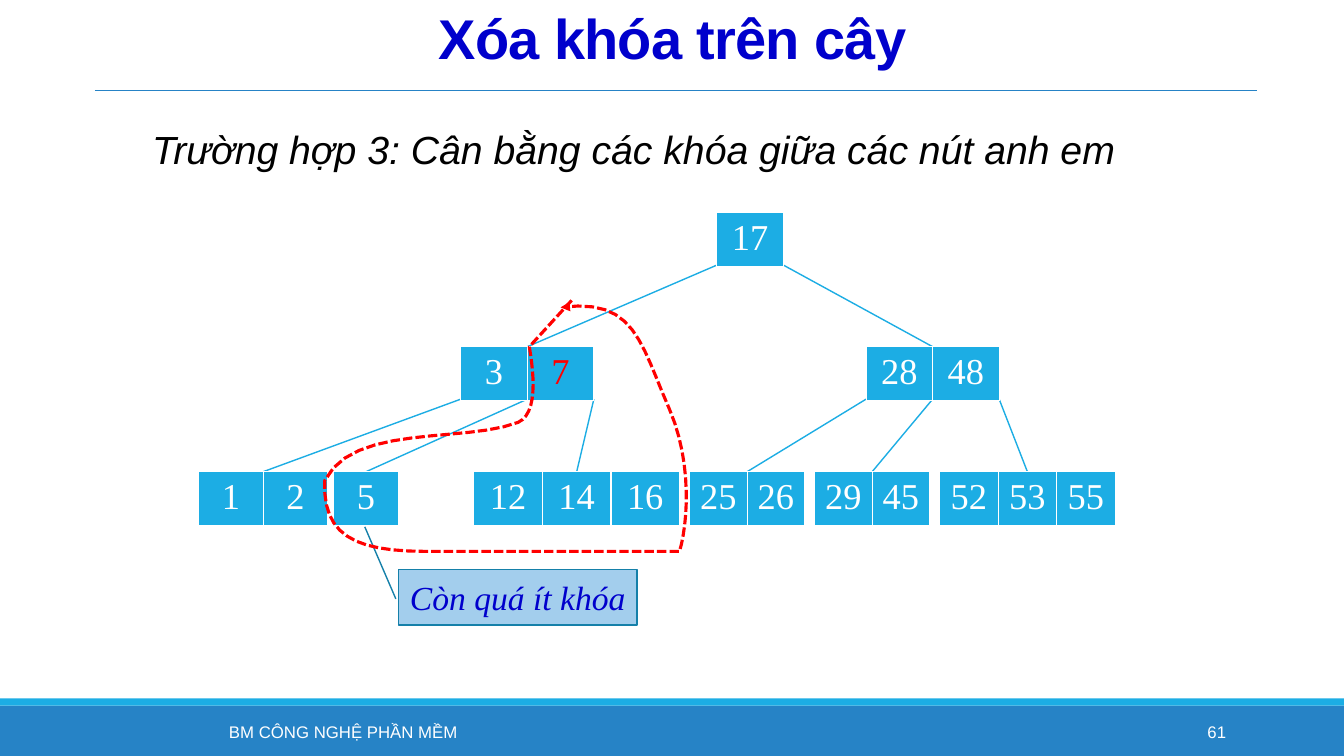
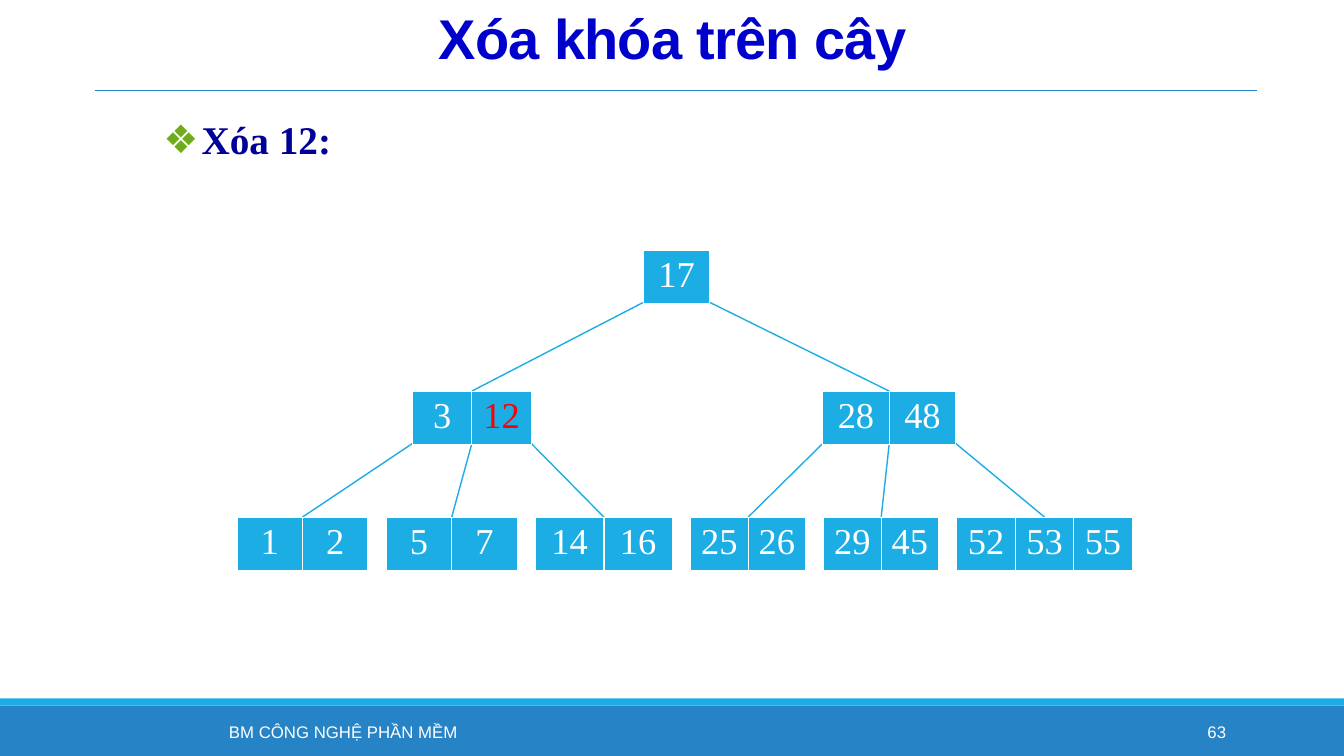
from dataclasses import dataclass

from lxml import etree
from pptx import Presentation
from pptx.dml.color import RGBColor
from pptx.enum.dml import MSO_LINE
from pptx.enum.shapes import MSO_CONNECTOR, MSO_SHAPE
from pptx.enum.text import MSO_ANCHOR, MSO_AUTO_SIZE, PP_ALIGN
from pptx.oxml.ns import qn
from pptx.util import Inches, Pt

STRAIGHT = MSO_CONNECTOR.STRAIGHT
RECTANGLE, CALLOUT = MSO_SHAPE.RECTANGLE, MSO_SHAPE.LINE_CALLOUT_1
DASHED = MSO_LINE.SQUARE_DOT
MIDDLE, TOP = MSO_ANCHOR.MIDDLE, MSO_ANCHOR.TOP
CENTER, RIGHT, JUSTIFY = PP_ALIGN.CENTER, PP_ALIGN.RIGHT, PP_ALIGN.JUSTIFY


@dataclass(frozen=True)
class Theme:
    band: str = "2683C6"
    accent: str = "1CADE4"
    white: str = "FFFFFF"
    black: str = "000000"
    title: str = "0000CC"
    task: str = "000099"
    bullet: str = "6EAC1C"
    alert: str = "FF0000"
    note_fill: str = "A3CEED"
    note_line: str = "1580A9"
    sans: str = "Arial"
    serif: str = "Times New Roman"
    title_size: int = 40
    body_size: int = 28
    key_size: int = 26
    note_size: int = 24
    footer_size: int = 12


THEME = Theme()

# Content
TITLE = "Xóa khóa trên cây"
FOOTER = "BM CÔNG NGHỆ PHẦN MỀM"
BALANCE_CASE = "Trường hợp 3: Cân bằng các khóa giữa các nút anh em"
SHORT_NODE_NOTE = "Còn quá ít khóa"
DELETE_TASK = "Xóa 12:"

# Trees: each row has a top and its nodes, from left to right.
# A node is its keys, the width of a key and the gap on its left
# (for the first node of a row, the distance from the slide's edge).
KEY_HEIGHT = 0.52
LEAF_GAP = 0.18
BALANCE_TREE = [
    (2.11, [("17", 0.66, 7.11)]),
    (3.44, [("3 7", 0.66, 4.57), ("28 48", 0.66, 2.7)]),
    (4.68, [("1 2", 0.64, 1.97), ("5", 0.64, 0.06),
            ("12 14 16", 0.68, 0.75), ("25 26", 0.57, 0.1),
            ("29 45", 0.57, 0.1), ("52 53 55", 0.58, 0.1)]),
]
DELETE_TREE = [
    (2.48, [("17", 0.66, 6.38)]),
    (3.88, [("3 12", 0.59, 4.09), ("28 48", 0.66, 2.89)]),
    (5.13, [("1 2", 0.65, 2.35), ("5 7", 0.65, LEAF_GAP),
            ("14 16", 0.68, LEAF_GAP), ("25 26", 0.57, LEAF_GAP),
            ("29 45", 0.57, LEAF_GAP), ("52 53 55", 0.58, LEAF_GAP)]),
]


@dataclass(frozen=True)
class Node:
    keys: list
    key_width: float
    left: float
    top: float

    @property
    def right(self):
        return self.left + self.key_width * len(self.keys)

    @property
    def bottom(self):
        return self.top + KEY_HEIGHT

    @property
    def entry(self):
        """Point where the edge from the parent arrives."""
        return (self.left + self.right) / 2, self.top

    @property
    def exits(self):
        """Points where the edges to the children leave, beside each key."""
        return [(self.left + i * self.key_width, self.bottom)
                for i in range(len(self.keys) + 1)]


def layout_row(top, row):
    nodes, x = [], 0
    for keys, key_width, gap in row:
        nodes.append(Node(keys.split(), key_width, x + gap, top))
        x = nodes[-1].right
    return nodes


# Formatting helpers
def box(*lengths):
    return [Inches(length) for length in lengths]


def rgb(color):
    return RGBColor.from_string(color)


def write(frame, text, size, font, color, align, anchor=MIDDLE,
          bold=False, italic=False, spacing=None):
    """Fill a text frame with one formatted paragraph."""
    frame.text = text
    frame.vertical_anchor = anchor
    paragraph = frame.paragraphs[0]
    paragraph.alignment = align
    paragraph.space_before = Pt(0)
    paragraph.line_spacing = spacing
    run = paragraph.runs[0]
    run.font.size, run.font.name = Pt(size), font
    run.font.color.rgb = rgb(color)
    run.font.bold, run.font.italic = bold, italic
    return paragraph


def place(placeholder, *lengths):
    (placeholder.left, placeholder.top,
     placeholder.width, placeholder.height) = box(*lengths)
    placeholder.text_frame.word_wrap = True
    placeholder.text_frame.auto_size = MSO_AUTO_SIZE.NONE
    return placeholder.text_frame


def set_bullet(paragraph, indent, char=None):
    properties = paragraph._p.get_or_add_pPr()
    properties.set("marL", str(Inches(indent)))
    properties.set("indent", str(-Inches(indent)))
    if char is None:
        etree.SubElement(properties, qn("a:buNone"))
        return
    color = etree.SubElement(properties, qn("a:buClr"))
    etree.SubElement(color, qn("a:srgbClr"), val=THEME.bullet)
    etree.SubElement(properties, qn("a:buChar"), char=char)


def add_filled(slide, preset, lengths, fill, line=None):
    shape = slide.shapes.add_shape(preset, *box(*lengths))
    shape.shadow.inherit = False
    shape.fill.solid()
    shape.fill.fore_color.rgb = rgb(fill)
    if line:
        shape.line.color.rgb = rgb(line)
        shape.line.width = Pt(1)
    else:
        shape.line.fill.background()
    return shape


def add_line(slide, start, end, color, width):
    line = slide.shapes.add_connector(STRAIGHT, *box(*start, *end))
    line.line.color.rgb = rgb(color)
    line.line.width = Pt(width)
    etree.SubElement(line._element.spPr, qn("a:effectLst"))


# Parts common to the slides
def add_footer_text(slide, lengths, text, align):
    frame = slide.shapes.add_textbox(*box(*lengths)).text_frame
    frame.word_wrap = True
    write(frame, text, THEME.footer_size, THEME.sans, THEME.white, align)


def add_base_slide(prs, number):
    slide = prs.slides.add_slide(prs.slide_layouts[1])
    add_filled(slide, RECTANGLE, (0, 7, 13.33, 0.5), THEME.band)
    add_filled(slide, RECTANGLE, (0, 6.93, 13.33, 0.07), THEME.accent)
    add_line(slide, (0.94, 0.9), (12.47, 0.9), THEME.band, 0.5)
    frame = place(slide.shapes.title, 0.85, 0.04, 11.64, 0.77)
    title = write(frame, TITLE, THEME.title_size, THEME.sans, THEME.title,
                  CENTER, bold=True, spacing=0.85)
    title.runs[0]._r.get_or_add_rPr().set("spc", "-50")
    add_footer_text(slide, (1.2, 7.06, 4.41, 0.4), FOOTER, CENTER)
    add_footer_text(slide, (10.83, 7.06, 1.43, 0.4), str(number), RIGHT)
    return slide


# Tree
def add_node(slide, node, marked):
    table = slide.shapes.add_table(
        1, len(node.keys),
        *box(node.left, node.top, node.right - node.left, KEY_HEIGHT)).table
    for column, key in enumerate(node.keys):
        table.columns[column].width = Inches(node.key_width)
        cell = table.cell(0, column)
        cell.fill.solid()
        cell.fill.fore_color.rgb = rgb(THEME.accent)
        color = THEME.alert if key == marked else THEME.white
        write(cell.text_frame, key, THEME.key_size, THEME.serif, color,
              CENTER, TOP)


def add_tree(slide, tree, marked):
    """Draw the tree; return its nodes by their first key."""
    rows = [layout_row(top, row) for top, row in tree]
    # The exits of a row, in order, lead to the nodes of the next row
    for parents, children in zip(rows, rows[1:]):
        exits = [point for parent in parents for point in parent.exits]
        for start, child in zip(exits, children):
            add_line(slide, start, child.entry, THEME.accent, 1)
    nodes = [node for row in rows for node in row]
    for node in nodes:
        add_node(slide, node, marked)
    return {node.keys[0]: node for node in nodes}


# Loop that takes a key from the donor through the parent to the short node
def bezier(points, t):
    """Point at t on the curve with these control points, of any degree."""
    while len(points) > 1:
        points = [(x1 + (x2 - x1) * t, y1 + (y2 - y1) * t)
                  for (x1, y1), (x2, y2) in zip(points, points[1:])]
    return points[0]


def add_loop(slide, parent, short, donor):
    seam = parent.left + parent.key_width
    floor = short.bottom + 0.27
    start = (seam + 0.44, parent.top - 0.46)
    # Each leg lists its control points and then its end
    into_parent = [(seam + 0.02, parent.top)]
    through_parent = [(seam + 0.07, parent.top + 0.3),
                      (seam + 0.1, parent.bottom + 0.14),
                      (seam - 0.09, parent.bottom + 0.23)]
    to_short = [(seam - 0.63, short.top - 0.28),
                (short.left + 0.19, short.top - 0.48),
                (short.left - 0.09, short.top + 0.09)]
    round_short = [(short.left - 0.11, short.bottom + 0.1),
                   (short.left + 0.19, floor), (short.right + 0.27, floor)]
    under_donor = [(donor.right, floor)]
    up_donor = [(donor.right + 0.08, donor.bottom),
                (donor.right + 0.13, donor.top - 0.08),
                (donor.right - 0.1, donor.top - 0.62)]
    back_to_parent = [(donor.right - 0.39, parent.top - 0.04),
                      (parent.right + 0.41, parent.top - 0.49),
                      (parent.right - 0.33, parent.top - 0.39)]
    outline, steps = [start], 12
    for leg in (into_parent, through_parent, to_short, round_short,
                under_donor, up_donor, back_to_parent):
        controls = [outline[-1], *leg]
        samples = steps if len(leg) > 1 else 1
        outline += [bezier(controls, i / samples)
                    for i in range(1, samples + 1)]

    first, *rest = [box(*point) for point in outline]
    builder = slide.shapes.build_freeform(*first)
    builder.add_line_segments(rest, close=False)
    loop = builder.convert_to_shape()
    loop.shadow.inherit = False
    loop.fill.background()
    loop.line.color.rgb = rgb(THEME.alert)
    loop.line.width = Pt(2.25)
    loop.line.dash_style = DASHED
    etree.SubElement(loop.line._get_or_add_ln(), qn("a:tailEnd"),
                     type="triangle")


# Slides
def build_balance_slide(prs):
    slide = add_base_slide(prs, 61)
    frame = place(slide.placeholders[1], 1.51, 1.17, 10.38, 0.78)
    frame.margin_left = frame.margin_right = 0
    case = write(frame, BALANCE_CASE, THEME.body_size, THEME.sans,
                 THEME.black, JUSTIFY, TOP, italic=True, spacing=1.05)
    set_bullet(case, 0)
    nodes = add_tree(slide, BALANCE_TREE, marked="7")
    note = add_filled(slide, CALLOUT, (3.95, 5.65, 2.37, 0.55),
                      THEME.note_fill, THEME.note_line)
    for index, value in enumerate((0.53, -0.01, -0.77, -0.14)):
        note.adjustments[index] = value
    note.text_frame.word_wrap = False
    write(note.text_frame, SHORT_NODE_NOTE, THEME.note_size, THEME.serif,
          THEME.title, CENTER, italic=True)
    add_loop(slide, parent=nodes["3"], short=nodes["5"], donor=nodes["12"])


def build_delete_slide(prs):
    slide = add_base_slide(prs, 63)
    frame = place(slide.placeholders[1], 1.52, 1.15, 10.38, 0.53)
    task = write(frame, DELETE_TASK, THEME.body_size, THEME.serif,
                 THEME.task, JUSTIFY, TOP, bold=True, spacing=0.9)
    set_bullet(task, 0.38, "❖")
    add_tree(slide, DELETE_TREE, marked="12")


def main():
    prs = Presentation()
    prs.slide_width, prs.slide_height = box(13.33, 7.5)
    build_balance_slide(prs)
    build_delete_slide(prs)
    prs.save("out.pptx")


if __name__ == "__main__":
    main()
